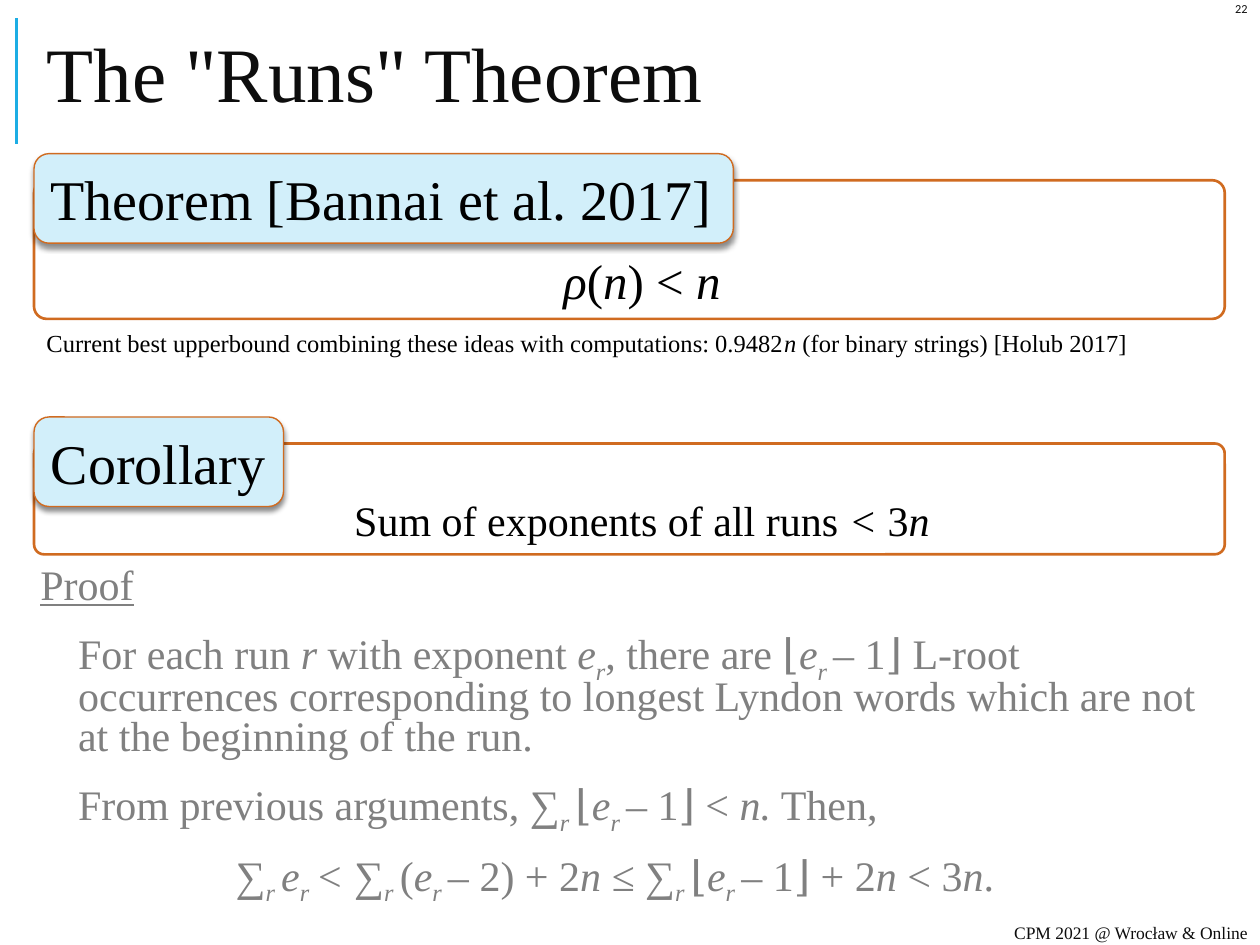
"""Build the slide on the "Runs" theorem, with lengths in percent of the slide's size."""
from dataclasses import dataclass

from lxml import etree
from pptx import Presentation
from pptx import util as u
from pptx.dml.color import RGBColor
from pptx.enum import shapes, text
from pptx.oxml.ns import qn

COLORS = {"accent": "1CADE4", "title": "0D0D0D", "body": "000000", "proof": "808080",
          "frame": "D06B20", "label": "D2EFFA", "paper": "FFFFFF"}
SERIF = "Times New Roman"
LEFT, WIDTH, TITLE_TOP, TITLE_HEIGHT = 2.7, 94.5, 1.87, 13.33
LABEL_HEIGHT, LABEL_RISE = 9.47, 2.8
ALIGN, ANCHOR, FIT = text.PP_ALIGN, text.MSO_ANCHOR, text.MSO_AUTO_SIZE

prs = Presentation()
prs.slide_width, prs.slide_height = u.Inches(10), u.Inches(7.5)


@dataclass
class Run:
    text: str
    italic: bool = False
    sub: bool = False
    underline: bool = False


@dataclass
class Font:
    size: float
    color: str
    name: str = SERIF


@dataclass
class Para:
    runs: list[Run]
    indent: float = 0
    align: ALIGN = ALIGN.LEFT
    spacing: float = 1
    before: float = 0
    after: float = 0


@dataclass
class Box:
    x: float
    y: float
    w: float
    h: float

    def emu(self) -> tuple[int, ...]:
        return across(self.x), down(self.y), across(self.w), down(self.h)


@dataclass
class Statement:
    label: str
    label_width: float
    top: float
    height: float
    size: float
    runs: list[Run]


def across(share: float) -> int:
    return int(prs.slide_width * share / 100)


def down(share: float) -> int:
    return int(prs.slide_height * share / 100)


def rgb(key: str) -> RGBColor:
    return RGBColor.from_string(COLORS[key])


def it(words: str) -> Run:
    return Run(words, italic=True)


def sub(words: str = "r ") -> Run:
    return Run(words, italic=True, sub=True)


def write(tf, paras: list[Para], font: Font, anchor=ANCHOR.TOP, wrap=True, fit=FIT.NONE) -> None:
    tf.word_wrap, tf.auto_size, tf.vertical_anchor = wrap, fit, anchor
    for i, para in enumerate(paras):
        p = tf.add_paragraph() if i else tf.paragraphs[0]
        p.alignment, p.line_spacing = para.align, para.spacing
        p.space_before, p.space_after = u.Pt(para.before if i else 0), u.Pt(para.after)
        if para.indent:
            p._p.get_or_add_pPr().set("marL", str(u.Inches(para.indent)))
        for run in para.runs:
            r = p.add_run()
            r.text = run.text
            r.font.size, r.font.name = u.Pt(font.size), font.name
            r.font.color.rgb = rgb(font.color)
            r.font.italic, r.font.underline = run.italic, run.underline
            if run.sub:
                r.font._element.set("baseline", "-25000")


def add_text(s, box: Box, paras: list[Para], font: Font, **layout):
    tf = s.shapes.add_textbox(*box.emu()).text_frame
    write(tf, paras, font, **layout)
    return tf


def add_panel(s, box: Box, fill: str, weight: float):
    sp = s.shapes.add_shape(shapes.MSO_SHAPE.ROUNDED_RECTANGLE, *box.emu())
    sp.shadow.inherit = False
    sp.fill.solid()
    sp.fill.fore_color.rgb = rgb(fill)
    sp.line.color.rgb, sp.line.width = rgb("frame"), u.Pt(weight)
    return sp


def add_shadow(sp) -> None:
    effects = sp._element.spPr.find(qn("a:effectLst"))
    shadow = etree.SubElement(effects, qn("a:outerShdw"), blurRad=str(u.Pt(3)),
                              dist=str(u.Pt(2.4)), dir="5400000", rotWithShape="0")
    color = etree.SubElement(shadow, qn("a:srgbClr"), val=COLORS["body"])
    etree.SubElement(color, qn("a:alpha"), val="45000")


def add_statement(s, st: Statement) -> None:
    frame = add_panel(s, Box(LEFT, st.top, WIDTH, st.height), "paper", 1.5)
    frame.adjustments[0] = 0.09
    write(frame.text_frame, [Para(st.runs, 0.2, ALIGN.CENTER)], Font(st.size, "body"),
          anchor=ANCHOR.BOTTOM)
    label = add_panel(s, Box(LEFT, st.top - LABEL_RISE, st.label_width, LABEL_HEIGHT), "label", 0.79)
    add_shadow(label)
    write(label.text_frame, [Para([Run(st.label)])], Font(32, "body"),
          anchor=ANCHOR.MIDDLE, wrap=False, fit=FIT.SHAPE_TO_FIT_TEXT)


def proof_para(runs: list[Run], indent: float = 0.3) -> Para:
    return Para(runs, indent, spacing=0.8, before=12, after=2)


FLOOR = [Run("⌊"), it("e"), sub()]
SUM = [Run("∑"), sub()]
STATEMENTS = [
    Statement("Theorem [Bannai et al. 2017]", 55.5, 19.07, 14.67, 28,
              [it("ρ"), Run("("), it("n"), Run(") < "), it("n")]),
    Statement("Corollary", 19.8, 46.93, 11.73, 24,
              [Run("Sum of exponents of all runs"), it(" < "), Run("3"), it("n")]),
]
PROOF = [
    proof_para([Run("Proof", underline=True)], 0),
    proof_para([Run("For each run "), it("r"), Run(" with exponent "), it("e"), sub("r"),
                Run(", there are "), *FLOOR,
                Run("– 1⌋ L-root occurrences corresponding to longest Lyndon words "
                    "which are not at the beginning of the run.")]),
    proof_para([Run("From previous arguments, "), *SUM, *FLOOR, Run("– 1⌋ < "), it("n."),
                Run(" Then,")]),
    proof_para([*SUM, it("e"), sub(), it("< "), *SUM, Run("("), it("e"), sub(),
                Run("– 2) + 2"), it("n ≤ "), *SUM, *FLOOR, Run("– 1⌋ + 2"), it("n"),
                Run(" < 3"), it("n"), Run(".")], 1.55),
]
NOTE = Para([Run("Current best upperbound combining these ideas with computations: 0.9482"),
             it("n "), Run("(for binary strings) [Holub 2017]")], spacing=0.9, after=4)


def main() -> None:
    s = prs.slides.add_slide(prs.slide_layouts.get_by_name("Title Only"))
    rule = s.shapes.add_connector(shapes.MSO_CONNECTOR.STRAIGHT, across(1.3),
                                  down(TITLE_TOP + TITLE_HEIGHT), across(1.3), down(TITLE_TOP))
    rule.line.color.rgb, rule.line.width = rgb("accent"), u.Pt(1.5)
    etree.SubElement(rule._element.spPr, qn("a:effectLst"))

    title = s.shapes.title
    title.left, title.top, title.width, title.height = Box(LEFT, TITLE_TOP, WIDTH, TITLE_HEIGHT).emu()
    write(title.text_frame, [Para([Run('The "Runs" Theorem')], spacing=0.8)],
          Font(44, "title"), anchor=ANCHOR.MIDDLE)

    tf = add_text(s, Box(LEFT, 59.47, WIDTH, 34.8), PROOF, Font(24, "proof"))
    tf.margin_left = tf.margin_right = u.Inches(0.05)
    for st in STATEMENTS:
        add_statement(s, st)
    add_text(s, Box(72.7, 97.33, 27.3, 2.67),
             [Para([Run("CPM 2021 @ Wrocław & Online")], align=ALIGN.RIGHT)],
             Font(10, "title"), anchor=ANCHOR.MIDDLE).margin_right = u.Inches(0.1)
    add_text(s, Box(96.8, 0, 3.2, 1.87), [Para([Run("22")], align=ALIGN.RIGHT)],
             Font(7, "title", "Calibri"), anchor=ANCHOR.MIDDLE)
    add_text(s, Box(LEFT, 34.4, 95.8, 4.13), [NOTE], Font(14, "body"), fit=FIT.SHAPE_TO_FIT_TEXT)
    prs.save("out.pptx")


if __name__ == "__main__":
    main()
